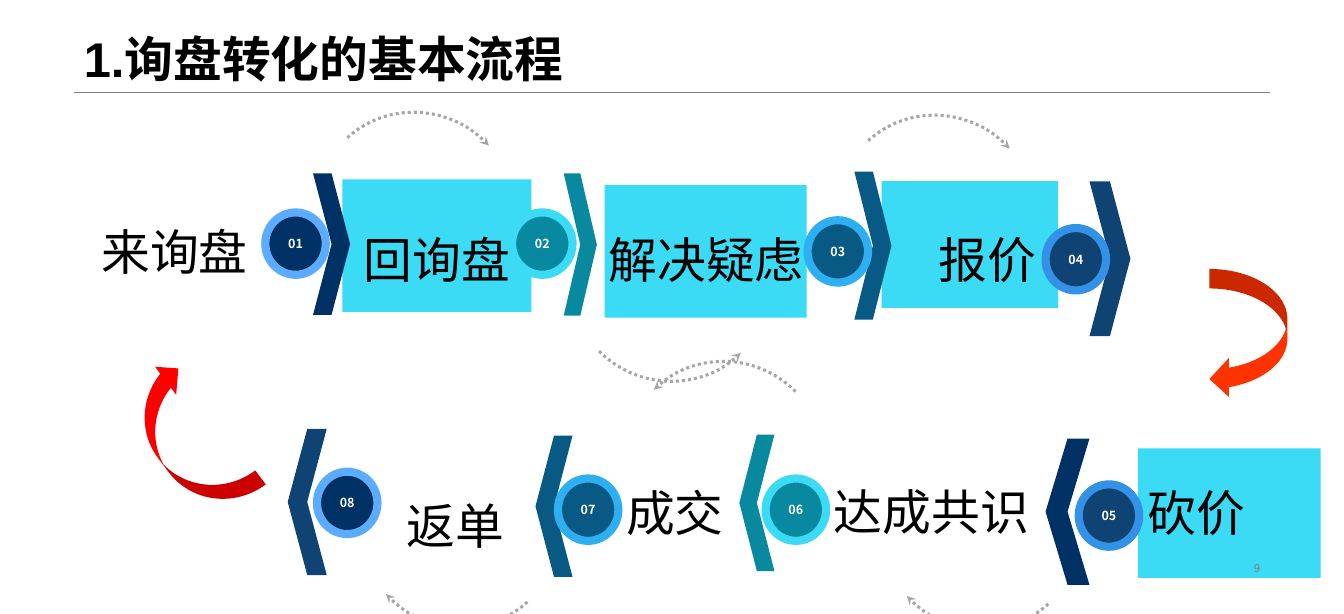
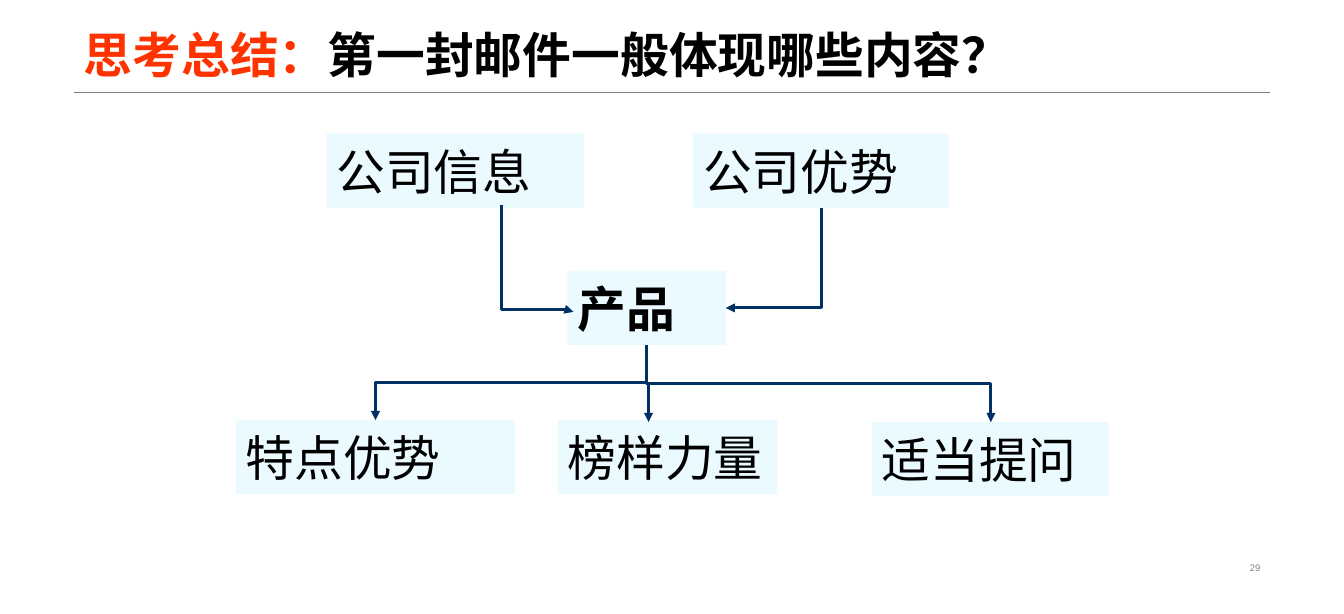
from lxml.etree import SubElement
from pptx import Presentation
from pptx.dml.color import RGBColor
from pptx.enum.dml import MSO_LINE
from pptx.enum.shapes import MSO_CONNECTOR as Connector, MSO_SHAPE as Shape
from pptx.enum.text import MSO_ANCHOR as Anchor, PP_ALIGN as Align
from pptx.oxml.ns import qn
from pptx.util import Pt

PX = 9144
CJK = "Noto Sans CJK SC"
NAVY, TEAL, BLUE, STEEL = "003164", "08899F", "085983", "0E4373"
CYAN, GRAY, BLACK, RED = "3BDAF5", "808080", "000000", "FF3300"
RING = {NAVY: "5BABFF", TEAL: CYAN, BLUE: "2DAFF2", STEEL: "3391E6"}
hex_color = RGBColor.from_string


def add_filled(slide, kind, box, fill, rotation=0):
    shape = slide.shapes.add_shape(kind, *(value * PX for value in box))
    shape.shadow.inherit = False
    shape.rotation = rotation
    shape.line.fill.background()
    if fill:
        shape.fill.solid()
        shape.fill.fore_color.rgb = hex_color(fill)
    else:
        shape.fill.background()
    return shape


def write(frame, runs, size, name=CJK, bold=False, align=Align.LEFT, spacing=1.0, anchor=Anchor.MIDDLE):
    frame.word_wrap = True
    frame.vertical_anchor = anchor
    paragraph = frame.paragraphs[0]
    paragraph.alignment = align
    paragraph.line_spacing = spacing
    font = paragraph.font
    font.size, font.name, font.bold = Pt(size), name, bold
    properties = paragraph._p.pPr.find(qn("a:defRPr"))
    SubElement(properties, qn("a:ea")).set("typeface", CJK)
    for text, color in runs:
        run = paragraph.add_run()
        run.text = text
        run.font.color.rgb = hex_color(color)


presentation = Presentation()
presentation.slide_width = 1378 * PX
presentation.slide_height = 630 * PX

slides = []
for title_top, title_runs, number, number_size in (
    (0, [("1.询盘转化的基本流程", BLACK)], "9", 8.4),
    (-4, [("思考总结：", RED), ("第一封邮件一般体现哪些内容？", BLACK)], "29", 7),
):
    slide = presentation.slides.add_slide(presentation.slide_layouts[5])
    slides.append(slide)
    title = slide.shapes.title
    title.left, title.top, title.width, title.height = 76 * PX, title_top * PX, 1226 * PX, 95 * PX
    write(title.text_frame, title_runs, 36, "Arial", True, spacing=0.9, anchor=Anchor.BOTTOM)
    rule = slide.shapes.add_connector(Connector.STRAIGHT, 76 * PX, 95 * PX, 1302 * PX, 95 * PX)
    rule.line.color.rgb = hex_color(GRAY)
    rule.line.width = Pt(0.25)

process, summary = slides

for box in ((1167, 460, 187, 133), (904, 186, 181, 130), (620, 190, 207, 136), (351, 184, 194, 136)):
    add_filled(process, Shape.RECTANGLE, box, CYAN)

for box, color, rotation in (
    ((321, 178, 38, 145), NAVY, 0),
    ((578, 178, 34, 146), TEAL, 0),
    ((876, 176, 38, 152), BLUE, 0),
    ((1117, 186, 42, 159), STEEL, 0),
    ((1072, 450, 45, 150), NAVY, 180),
    ((758, 446, 36, 140), TEAL, 180),
    ((549, 447, 38, 145), BLUE, 180),
    ((295, 440, 40, 150), STEEL, 180),
):
    add_filled(process, Shape.CHEVRON, box, color, rotation)

for left, top, width, height, rotation, flipped in (
    (325, 114, 203, 208, 317.5, False),
    (582, 187, 208, 203, 225, True),
    (859, 117, 203, 208, 317.5, False),
    (903, 439, 203, 208, 137.5, False),
    (640, 372, 208, 203, 45, True),
    (369, 437, 203, 208, 137.5, False),
):
    arc = add_filled(process, Shape.ARC, (left, top, width, height), None, rotation)
    arc.line.color.rgb = hex_color("A6A6A6")
    arc.line.width = Pt(2.25)
    arc.line.dash_style = MSO_LINE.ROUND_DOT
    SubElement(arc.element.spPr.find(qn("a:ln")), qn("a:tailEnd")).set("type", "stealth")
    if flipped:
        arc.element.spPr.find(qn("a:xfrm")).set("flipH", "1")

for text, left, top, width, name in (
    ("来询盘", 86, 193, 186, CJK),
    ("回询盘", 355, 201, 186, CJK),
    ("解决疑虑", 601, 201, 246, CJK),
    ("报价", 919, 201, 186, CJK),
    ("砍价", 1134, 460, 186, CJK),
    ("达成共识", 838, 459, 234, CJK),
    ("成交", 599, 460, 186, "Arial"),
    ("返单", 374, 474, 186, CJK),
):
    label = process.shapes.add_textbox(left * PX, top * PX, width * PX, 114 * PX)
    write(label.text_frame, [(text, BLACK)], 36, name, align=Align.CENTER, spacing=1.5, anchor=Anchor.TOP)

for step, (left, top, color) in enumerate((
    (272, 218, NAVY), (525, 218, TEAL), (828, 226, BLUE), (1072, 234, STEEL),
    (1106, 497, STEEL), (785, 491, TEAL), (572, 491, BLUE), (325, 484, NAVY),
), 1):
    badge = add_filled(process, Shape.OVAL, (left, top, 62, 64), color)
    badge.line.color.rgb = hex_color(RING[color])
    badge.line.width = Pt(6)
    frame = badge.text_frame
    frame.margin_left = frame.margin_right = frame.margin_top = frame.margin_bottom = 0
    write(frame, [(f"{step:02}", "FFFFFF")], 9.2, bold=True, align=Align.CENTER)

add_filled(process, Shape.CURVED_LEFT_ARROW, (1240, 276, 80, 133), RED)
add_filled(process, Shape.CURVED_DOWN_ARROW, (110, 416, 167, 72), "FF0000", 233)

topics = {}
for text, left, top, width in (
    ("公司信息", 335, 137, 264),
    ("公司优势", 711, 137, 262),
    ("产品", 582, 278, 162),
    ("特点优势", 242, 431, 286),
    ("榜样力量", 572, 431, 225),
    ("适当提问", 894, 433, 243),
):
    topic = add_filled(summary, Shape.RECTANGLE, (left, top, width, 76), "98EAFF")
    fill_color = topic.element.spPr.find(qn("a:solidFill"))[0]
    SubElement(fill_color, qn("a:alpha")).set("val", "20000")
    write(topic.text_frame, [(text, BLACK)], 36, bold=text == "产品")
    topics[text] = topic

for x1, y1, x2, y2, preset, bend, source, target in (
    (842, 213, 744, 316, "bentConnector2", None, ("公司优势", 2), ("产品", 3)),
    (514, 210, 588, 320, "bentConnector3", 98100, None, None),
    (663, 354, 385, 431, "bentConnector3", 50000, ("产品", 2), ("特点优势", 0)),
    (663, 354, 665, 433, "bentConnector3", 50000, ("产品", 2), None),
    (663, 354, 1016, 433, "bentConnector3", 50000, ("产品", 2), ("适当提问", 0)),
):
    elbow = summary.shapes.add_connector(Connector.ELBOW, 0, 0, PX, PX)
    if source:
        elbow.begin_connect(topics[source[0]], source[1])
    if target:
        elbow.end_connect(topics[target[0]], target[1])
    width, height = abs(y2 - y1), abs(x2 - x1)
    elbow.left = (x1 + x2 - width) * PX // 2
    elbow.top = (y1 + y2 - height) * PX // 2
    elbow.width, elbow.height = width * PX, height * PX
    properties = elbow.element.spPr
    transform = properties.find(qn("a:xfrm"))
    transform.set("rot", str(90 * 60000))
    transform.set("flipH", "0")
    transform.set("flipV", "1" if x2 > x1 else "0")
    geometry = properties.find(qn("a:prstGeom"))
    geometry.set("prst", preset)
    if bend:
        guide = SubElement(geometry.find(qn("a:avLst")), qn("a:gd"))
        guide.set("name", "adj1")
        guide.set("fmla", f"val {bend}")
    elbow.line.color.rgb = hex_color(NAVY)
    elbow.line.width = Pt(2.25)
    SubElement(properties.find(qn("a:ln")), qn("a:tailEnd")).set("type", "triangle")

for slide, number, size in ((process, "9", 8.4), (summary, "29", 7)):
    page_number = slide.shapes.add_textbox(973 * PX, 573 * PX, 329 * PX, 19 * PX)
    frame = page_number.text_frame
    frame.margin_top = frame.margin_bottom = 0
    write(frame, [(number, GRAY)], size, "Arial", align=Align.RIGHT)
    for connector in slide.element.iter(qn("p:cxnSp")):
        SubElement(connector.spPr, qn("a:effectLst"))

presentation.save("out.pptx")
